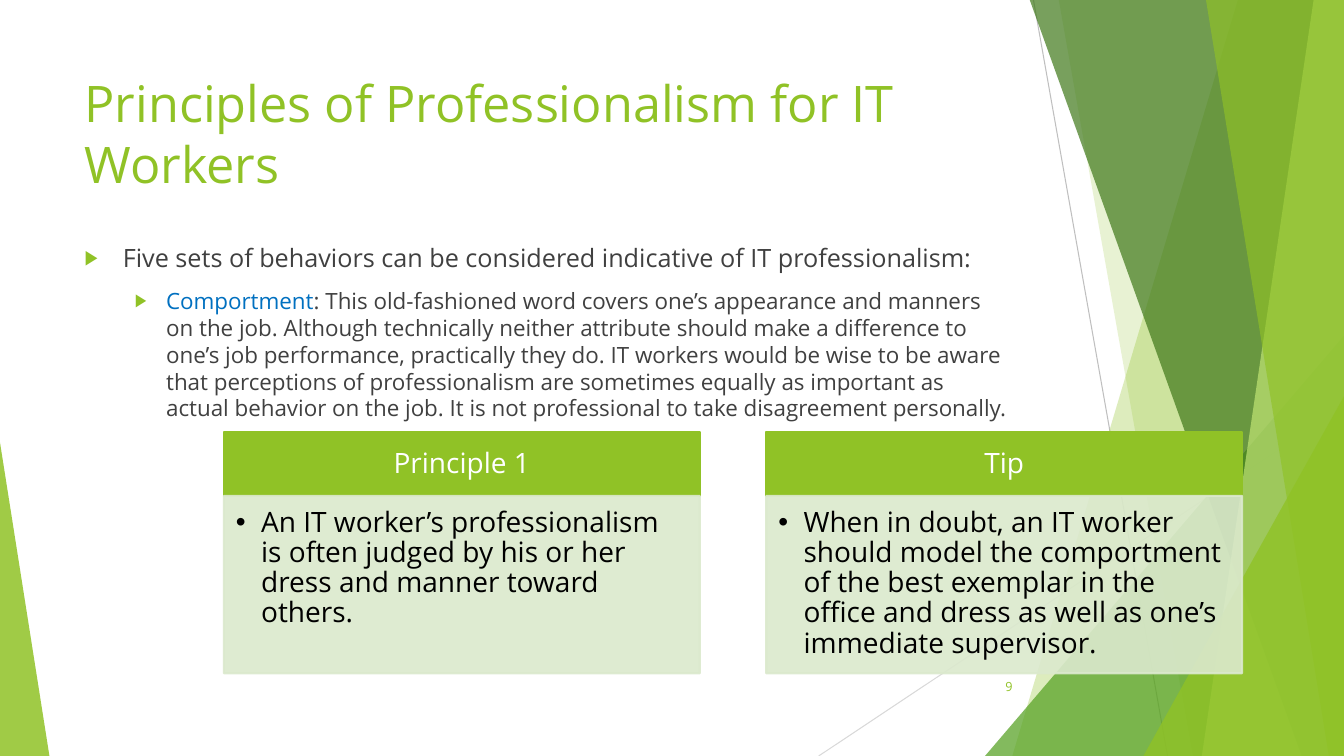
from pptx import Presentation
from pptx.dml.color import RGBColor
from pptx.enum.shapes import MSO_CONNECTOR, MSO_SHAPE
from pptx.enum.text import MSO_ANCHOR as ANCHOR, PP_ALIGN as ALIGN
from pptx.oxml.ns import qn
from pptx.util import Inches, Pt
from lxml import etree

W, H = 13.33, 7.5
FONT = "Open Sans"
GREEN, DARK, PALE, GREY = "90C226", "3F7819", "DBE9CD", "404040"


def rgb(color):
    """Turn a hex string into a colour."""
    return RGBColor.from_string(color)


def paint(fill, color, alpha=100):
    """Fill with a colour at the given opacity in percent."""
    fill.solid()
    fill.fore_color.rgb = rgb(color)
    if alpha < 100:
        clr = fill._xPr.find(qn("a:solidFill"))[0]
        etree.SubElement(clr, qn("a:alpha"), val=str(alpha * 1000))


def add_panel(s, kind, box, color, alpha=100, outlined=False):
    """Add a flat preset shape, with or without an outline of its colour."""
    sp = s.shapes.add_shape(kind, *map(Inches, box))
    sp.shadow.inherit = False
    paint(sp.fill, color, alpha)
    if outlined:
        sp.line.width = Pt(1.5)
        paint(sp.line.fill, color, alpha)
    else:
        sp.line.fill.background()
    return sp


def add_triangle(s, box, color, alpha, apex):
    """Add a right triangle with its apex at the left (0) or right (1)."""
    add_panel(s, MSO_SHAPE.ISOSCELES_TRIANGLE, box, color, alpha).adjustments[0] = apex


def add_band(s, top_x, bottom_x, color, alpha):
    """Add a full-height band from a slanted left edge to the slide's right edge."""
    fb = s.shapes.build_freeform(Inches(top_x), Inches(-0.01))
    fb.add_line_segments([(Inches(x), Inches(y)) for x, y in
                          [(W, -0.01), (W, H), (bottom_x, H)]], close=True)
    sp = fb.convert_to_shape()
    sp.shadow.inherit = False
    paint(sp.fill, color, alpha)
    sp.line.fill.background()


def add_hairline(s, ends, color):
    """Add a thin straight line."""
    line = s.shapes.add_connector(MSO_CONNECTOR.STRAIGHT, *map(Inches, ends))
    line.line.width = Pt(0.75)
    line.line.color.rgb = rgb(color)
    etree.SubElement(line._element.spPr, qn("a:effectLst"))


def add_facets(s):
    """Draw the green facets along the slide's edges."""
    add_hairline(s, (10.25, 0, 11.58, H), "BFBFBF")
    add_hairline(s, (W, 4.03, 8.12, H), "D9D9D9")
    add_band(s, 12.28, 10.04, GREEN, 30)
    add_band(s, 10.5, 11.83, GREEN, 20)
    add_triangle(s, (9.77, 3.33, 3.56, 4.17), "54A021", 72, 1)
    add_band(s, 10.21, 12.91, DARK, 70)
    add_band(s, 13.03, 11.92, "C0E474", 70)
    add_band(s, 11.96, 13.18, GREEN, 65)
    add_triangle(s, (11.34, 3.93, 1.99, 3.57), GREEN, 80, 1)
    add_triangle(s, (0, 4.39, 0.49, 3.11), GREEN, 85, 0)


def style(p, size, color, align=ALIGN.LEFT):
    """Set a paragraph's font and alignment."""
    p.font.name, p.font.size = FONT, Pt(size)
    p.font.color.rgb = rgb(color)
    p.alignment = align


def set_bullet(p, char, left, hang, color=None, size=100):
    """Give a paragraph a bullet and a hanging indent."""
    pPr = p._p.get_or_add_pPr()
    pPr.set("marL", str(Inches(left)))
    pPr.set("indent", str(-Inches(hang)))
    marks = []
    if color:
        clr = etree.Element(qn("a:buClr"))
        etree.SubElement(clr, qn("a:srgbClr"), val=color)
        marks.append(clr)
    marks.append(etree.Element(qn("a:buSzPct"), val=str(size * 1000)))
    marks.append(etree.Element(qn("a:buFont"), typeface="Arial"))
    marks.append(etree.Element(qn("a:buChar"), char=char))
    at = next((i for i, el in enumerate(pPr) if el.tag == qn("a:defRPr")), len(pPr))
    pPr[at:at] = marks


def add_text(s, box, anchor=ANCHOR.TOP):
    """Add a wrapping text box and return its frame."""
    tf = s.shapes.add_textbox(*map(Inches, box)).text_frame
    tf.word_wrap = True
    tf.vertical_anchor = anchor
    return tf


def add_label(s, box, text, size, align=ALIGN.LEFT, anchor=ANCHOR.TOP):
    """Add one green paragraph."""
    p = add_text(s, box, anchor).paragraphs[0]
    p.text = text
    style(p, size, GREEN, align)


def add_body(s, box, intro, term, detail):
    """Add the introduction and, one level down, a term with its explanation."""
    tf = add_text(s, box)
    levels = [([(intro, GREY)], 18, 0.38, 0.38),
              ([(term, "0070C0"), (detail, GREY)], 16, 0.81, 0.31)]
    for i, (runs, size, left, hang) in enumerate(levels):
        p = tf.add_paragraph() if i else tf.paragraphs[0]
        p.level, p.space_before = i, Pt(10)
        style(p, size, GREY)
        for text, color in runs:
            r = p.add_run()
            r.text = text
            r.font.color.rgb = rgb(color)
        set_bullet(p, "\u25b6", left, hang, GREEN, 80)


def fill_text(sp, text, color, align, anchor, margins):
    """Write one paragraph into a card panel and return it."""
    tf = sp.text_frame
    tf.word_wrap, tf.vertical_anchor = True, anchor
    tf.margin_left, tf.margin_top, tf.margin_right, tf.margin_bottom = map(Inches, margins)
    p = tf.paragraphs[0]
    p.text, p.line_spacing = text, 0.9
    style(p, 20, color, align)
    return p


def add_card(s, box, heading, text):
    """Add a green heading over a pale panel with one bullet."""
    x, y, w, h = box
    head_h = 0.63
    head = add_panel(s, MSO_SHAPE.RECTANGLE, (x, y, w, head_h), GREEN, outlined=True)
    fill_text(head, heading, "FFFFFF", ALIGN.CENTER, ANCHOR.MIDDLE, (0.16, 0.09, 0.16, 0.09))
    panel = add_panel(s, MSO_SHAPE.RECTANGLE, (x, y + head_h, w, h - head_h), PALE, 90, True)
    p = fill_text(panel, text, "000000", ALIGN.LEFT, ANCHOR.TOP, (0.12, 0.12, 0.16, 0.17))
    set_bullet(p, "\u2022", 0.25, 0.25)


def build():
    """Build the slide and save it."""
    prs = Presentation()
    prs.slide_width, prs.slide_height = Inches(W), Inches(H)
    s = prs.slides.add_slide(prs.slide_layouts[6])
    add_facets(s)
    add_label(s, (0.74, 0.67, 9.4, 1.44), "Principles of Professionalism for IT Workers", 36)
    add_body(s, (0.74, 2.36, 9.4, 4.24),
             "Five sets of behaviors can be considered indicative of IT professionalism:",
             "Comportment",
             ": This old-fashioned word covers one’s appearance and manners on the job. "
             "Although technically neither attribute should make a difference to one’s job "
             "performance, practically they do. IT workers would be wise to be aware that "
             "perceptions of professionalism are sometimes equally as important as actual "
             "behavior on the job. It is not professional to take disagreement personally.")
    add_label(s, (9.39, 6.61, 0.75, 0.4), "9", 9, ALIGN.RIGHT, ANCHOR.MIDDLE)
    cards = [("Principle 1", "An IT worker’s professionalism is often judged by his or her "
              "dress and manner toward others."),
             ("Tip", "When in doubt, an IT worker should model the comportment of the best "
              "exemplar in the office and dress as well as one’s immediate supervisor.")]
    for i, (heading, text) in enumerate(cards):
        add_card(s, (2.22 + i * 5.38, 4.29, 4.72, 2.39), heading, text)
    prs.save("out.pptx")


build()
